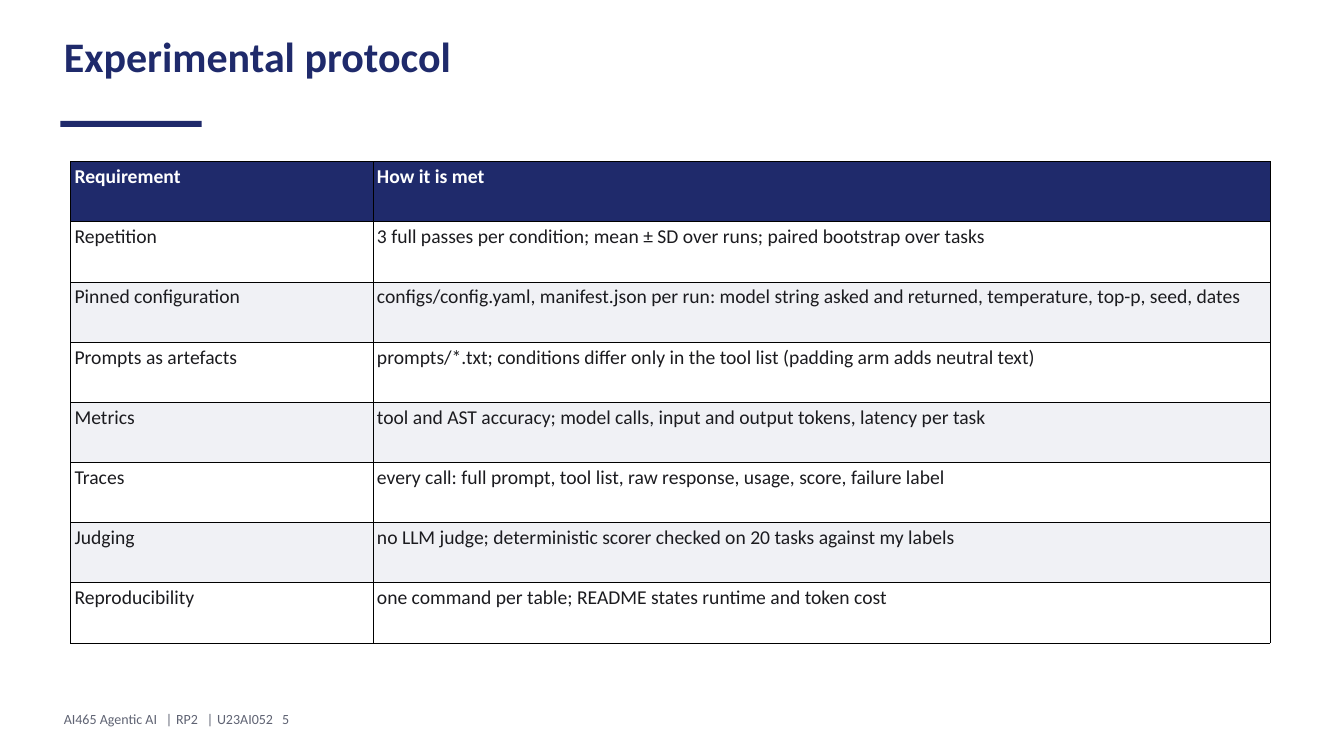
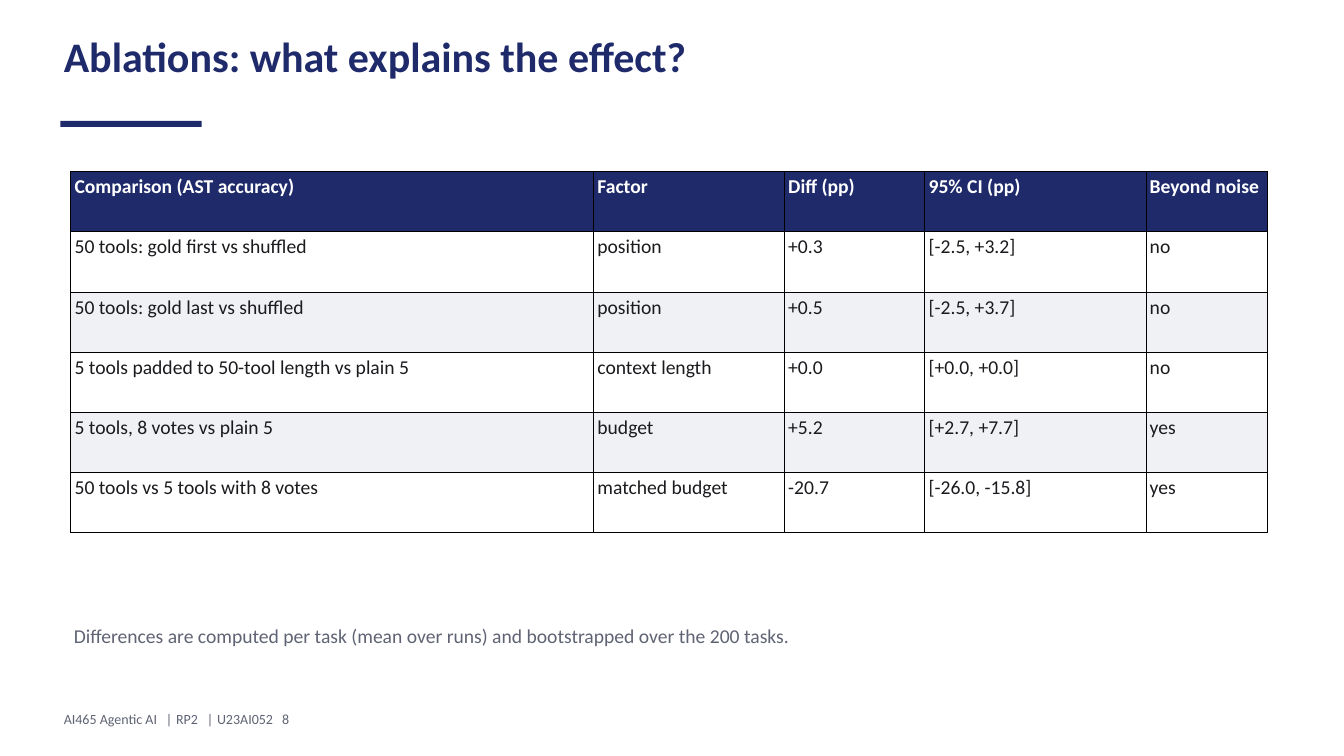
import dataclasses

import lxml.etree
import pptx
import pptx.dml.color
import pptx.enum.shapes
import pptx.enum.text
import pptx.oxml.ns
import pptx.util


@dataclasses.dataclass(frozen=True)
class Theme:
    font: str = "Calibri"
    navy: str = "1F2A6B"
    ink: str = "1B1B1F"
    muted: str = "5F6373"
    white: str = "FFFFFF"
    band: str = "F0F1F5"
    border: str = "000000"
    border_points: float = 0.37
    title_size: int = 45
    body_size: int = 21
    footer_size: int = 15
    line_factor: float = 1.2


WIDTH, HEIGHT = pptx.util.Inches(20), pptx.util.Inches(11.25)
COLUMNS, ROWS = 400, 225
FOOTER_PARTS = ("AI465 Agentic AI", "|", "RP2", "|", "U23AI052")
FOOTER_TABS = (30.4, 33.4, 42.6, 45.6, 65)
TABLE_ROW = 17.92
CELL_MARGIN = 1.2


def across(columns):
    return round(WIDTH * columns / COLUMNS)


def down(rows):
    return round(HEIGHT * rows / ROWS)


def color(value):
    return pptx.dml.color.RGBColor.from_string(value)


def write_text(frame, text, *, theme, size, fill, bold=False, margin=0, tabs=()):
    """Fill a text frame with one paragraph; margin and tabs are in grid columns."""
    frame.word_wrap = True
    frame.margin_left = frame.margin_right = across(margin)
    frame.margin_top = frame.margin_bottom = down(margin)
    paragraph = frame.paragraphs[0]
    paragraph.line_spacing = pptx.util.Pt(size * theme.line_factor)
    if tabs:
        properties = paragraph._p.get_or_add_pPr()
        tab_list = lxml.etree.SubElement(properties, pptx.oxml.ns.qn("a:tabLst"))
        for tab in tabs:
            lxml.etree.SubElement(tab_list, pptx.oxml.ns.qn("a:tab"),
                                  pos=str(across(tab)), algn="l")
    run = paragraph.add_run()
    run.text = text
    run.font.name = theme.font
    run.font.size = pptx.util.Pt(size)
    run.font.bold = bold
    run.font.color.rgb = color(fill)


def add_borders(cell, theme):
    properties = cell._tc.get_or_add_tcPr()
    for side in ("lnL", "lnR", "lnT", "lnB"):
        line = lxml.etree.SubElement(properties, pptx.oxml.ns.qn(f"a:{side}"),
                                     w=str(pptx.util.Pt(theme.border_points)))
        solid = lxml.etree.SubElement(line, pptx.oxml.ns.qn("a:solidFill"))
        lxml.etree.SubElement(solid, pptx.oxml.ns.qn("a:srgbClr"), val=theme.border)


class Deck:
    """Holds the theme and the current slide; positions are grid columns and rows."""

    def __init__(self, theme):
        self.theme = theme
        self.presentation = pptx.Presentation()
        self.presentation.slide_width = WIDTH
        self.presentation.slide_height = HEIGHT
        self.slide = None

    def start_slide(self, title, number):
        theme = self.theme
        self.slide = self.presentation.slides.add_slide(self.presentation.slide_layouts[6])
        self.slide.background.fill.solid()
        self.slide.background.fill.fore_color.rgb = color(theme.white)
        self.text(title, 19, 9, 361.2, 28, size=theme.title_size, fill=theme.navy, bold=True)
        self.bar(18, 36, 42, 1.8)
        self.text("\t".join((*FOOTER_PARTS, str(number))), 19, 211.4, 361.2, 8.6,
                  size=theme.footer_size, fill=theme.muted, tabs=FOOTER_TABS)

    def text(self, text, left, top, width, height, **style):
        box = self.slide.shapes.add_textbox(across(left), down(top), across(width), down(height))
        write_text(box.text_frame, text, theme=self.theme, **style)

    def bar(self, left, top, width, height):
        shape = self.slide.shapes.add_shape(
            pptx.enum.shapes.MSO_SHAPE.RECTANGLE,
            across(left), down(top), across(width), down(height))
        shape.shadow.inherit = False
        shape.fill.solid()
        shape.fill.fore_color.rgb = color(self.theme.navy)
        shape.line.fill.background()

    def table(self, rows, left, top, widths):
        """Draw a bordered table with a dark header and every second body row tinted."""
        theme = self.theme
        table = self.slide.shapes.add_table(
            len(rows), len(widths), across(left), down(top),
            across(sum(widths)), down(TABLE_ROW * len(rows))).table
        table.first_row = table.horz_banding = False
        for column, width in zip(table.columns, widths):
            column.width = across(width)
        for index, values in enumerate(rows):
            table.rows[index].height = down(TABLE_ROW)
            header = index == 0
            if header:
                background = theme.navy
            else:
                background = theme.white if index % 2 else theme.band
            for position, value in enumerate(values):
                cell = table.cell(index, position)
                add_borders(cell, theme)
                cell.fill.solid()
                cell.fill.fore_color.rgb = color(background)
                cell.margin_left = cell.margin_right = across(CELL_MARGIN)
                cell.margin_top = cell.margin_bottom = down(CELL_MARGIN)
                cell.vertical_anchor = pptx.enum.text.MSO_ANCHOR.TOP
                write_text(cell.text_frame, value, theme=theme, size=theme.body_size,
                           fill=theme.white if header else theme.ink,
                           bold=header, margin=CELL_MARGIN)


PROTOCOL = (
    ("Requirement", "How it is met"),
    ("Repetition", "3 full passes per condition; mean ± SD over runs; paired bootstrap over tasks"),
    ("Pinned configuration", "configs/config.yaml, manifest.json per run: model string asked "
                             "and returned, temperature, top-p, seed, dates"),
    ("Prompts as artefacts", "prompts/*.txt; conditions differ only in the tool list "
                             "(padding arm adds neutral text)"),
    ("Metrics", "tool and AST accuracy; model calls, input and output tokens, latency per task"),
    ("Traces", "every call: full prompt, tool list, raw response, usage, score, failure label"),
    ("Judging", "no LLM judge; deterministic scorer checked on 20 tasks against my labels"),
    ("Reproducibility", "one command per table; README states runtime and token cost"),
)

ABLATIONS = (
    ("Comparison (AST accuracy)", "Factor", "Diff (pp)", "95% CI (pp)", "Beyond noise"),
    ("50 tools: gold first vs shuffled", "position", "+0.3", "[-2.5, +3.2]", "no"),
    ("50 tools: gold last vs shuffled", "position", "+0.5", "[-2.5, +3.7]", "no"),
    ("5 tools padded to 50-tool length vs plain 5", "context length", "+0.0",
     "[+0.0, +0.0]", "no"),
    ("5 tools, 8 votes vs plain 5", "budget", "+5.2", "[+2.7, +7.7]", "yes"),
    ("50 tools vs 5 tools with 8 votes", "matched budget", "-20.7", "[-26.0, -15.8]", "yes"),
)


def main():
    theme = Theme()
    deck = Deck(theme)

    deck.start_slide("Experimental protocol", 5)
    deck.table(PROTOCOL, 21, 48, (90, 267))

    deck.start_slide("Ablations: what explains the effect?", 8)
    deck.table(ABLATIONS, 21, 51, (155.6, 56.8, 41.8, 65.8, 36))
    deck.text("Differences are computed per task (mean over runs) and bootstrapped "
              "over the 200 tasks.", 22, 185.8, 355.2, 14.8,
              size=theme.body_size, fill=theme.muted)

    deck.presentation.save("out.pptx")


if __name__ == "__main__":
    main()
